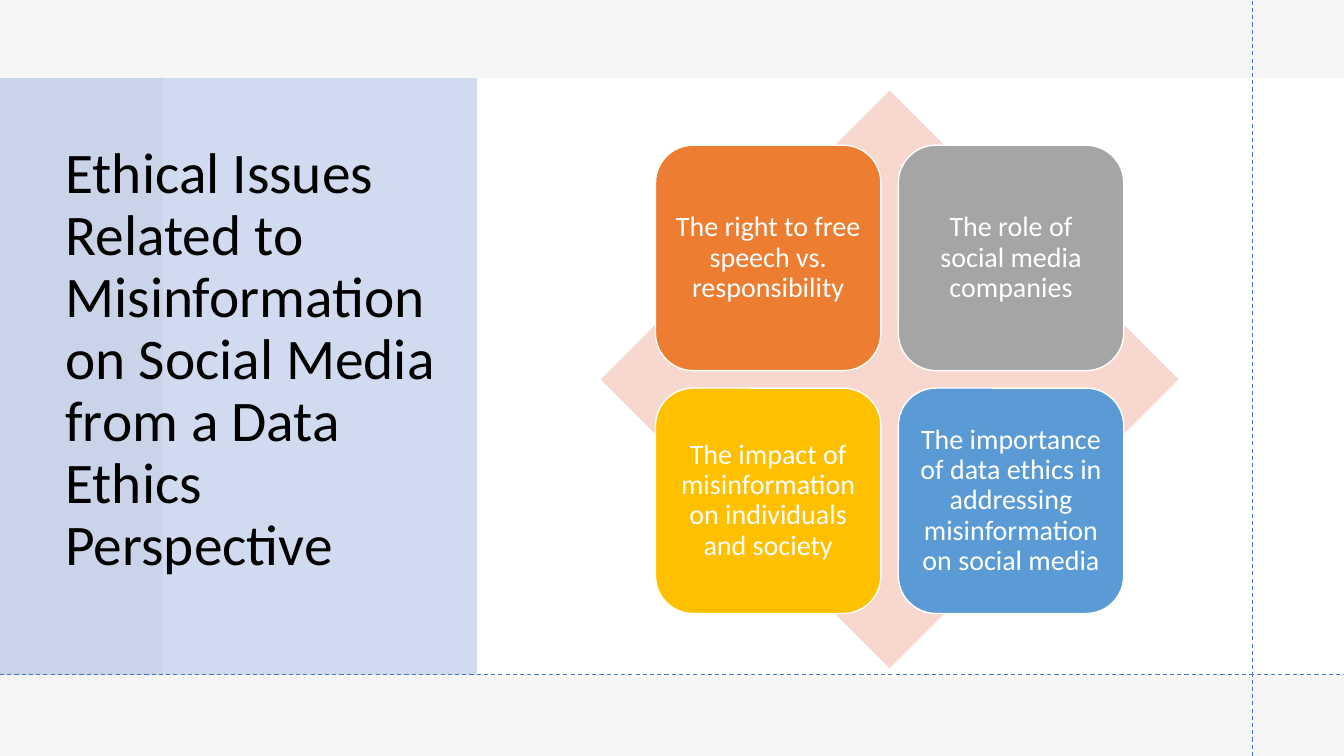
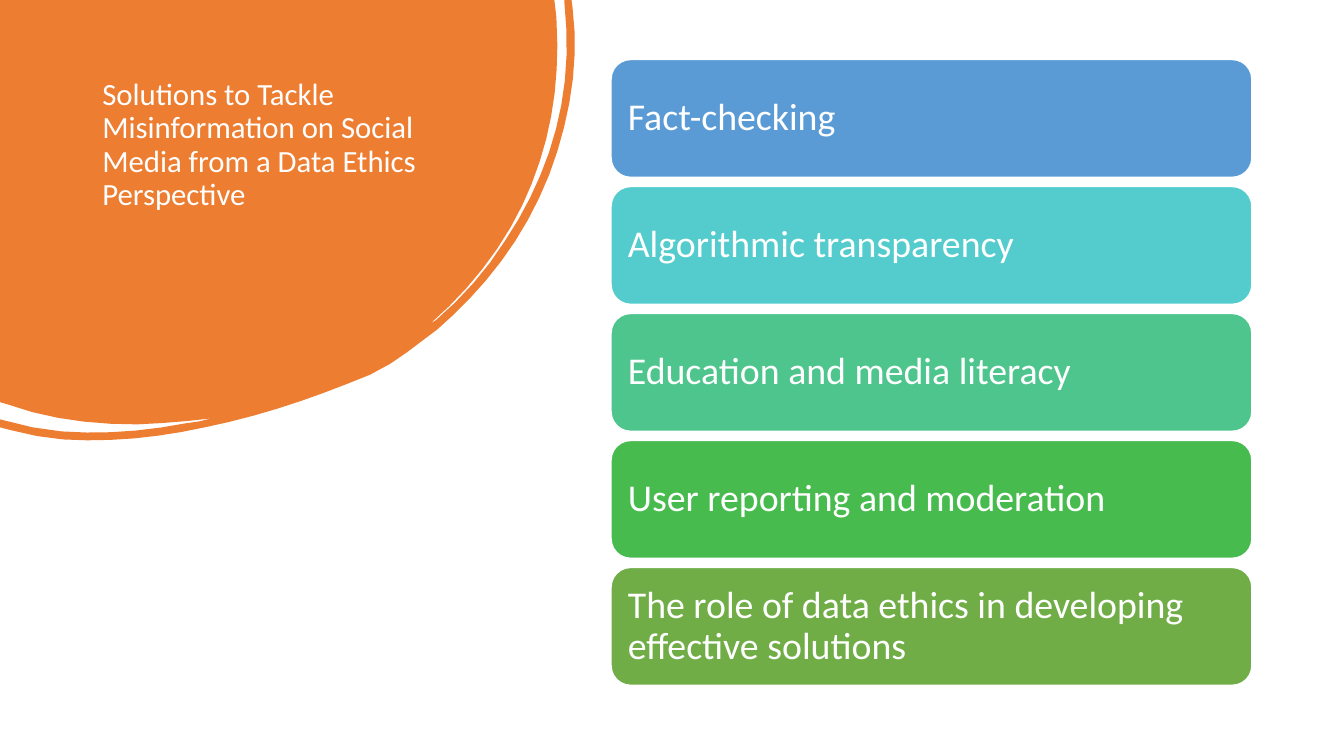
import math
from dataclasses import dataclass

import pptx
import pptx.dml.color
import pptx.enum.dml
import pptx.enum.shapes
import pptx.enum.text
import pptx.oxml.ns
import pptx.util
from lxml import etree

Cm = pptx.util.Cm
Pt = pptx.util.Pt
RGB = pptx.dml.color.RGBColor
SHAPE = pptx.enum.shapes.MSO_SHAPE
ALIGN = pptx.enum.text.PP_ALIGN
ANCHOR = pptx.enum.text.MSO_ANCHOR
qn = pptx.oxml.ns.qn

FONT = "Calibri"
WIDTH, HEIGHT = 33.87, 19.05
COLORS = {
    "white": "FFFFFF", "black": "000000", "grey": "E7E6E6", "accent": "4472C4",
    "orange": "ED7D31", "silver": "A5A5A5", "gold": "FFC000", "blue": "5B9BD5",
    "peach": "F8D7CE", "turquoise": "54CCCD", "mint": "4DC58D",
    "green": "48BB4F", "olive": "70AD47",
}


@dataclass
class Box:
    """Position and size in centimetres."""
    left: float
    top: float
    width: float
    height: float

    def lengths(self) -> list:
        return [Cm(v) for v in (self.left, self.top, self.width, self.height)]


@dataclass
class Card:
    text: str
    color: str


@dataclass
class CardStyle:
    size: float
    margin: float
    align: ALIGN


def rgb(name: str) -> RGB:
    return RGB.from_string(COLORS[name])


def write(shape, text: str, size: float, color: str, align=ALIGN.LEFT, anchor=ANCHOR.MIDDLE) -> None:
    tf = shape.text_frame
    tf.word_wrap = True
    tf.vertical_anchor = anchor
    tf.text = text
    p = tf.paragraphs[0]
    p.alignment = align
    p.line_spacing = 0.9
    for r in p.runs:
        r.font.name = FONT
        r.font.size = Pt(size)
        r.font.color.rgb = rgb(color)


def paint(sp, color: str, alpha: int = 100) -> None:
    sp.shadow.inherit = False
    sp.fill.solid()
    sp.fill.fore_color.rgb = rgb(color)
    sp.line.fill.background()
    if alpha < 100:
        clr = sp._element.spPr.find(".//" + qn("a:srgbClr"))
        etree.SubElement(clr, qn("a:alpha")).set("val", str(alpha * 1000))


def add_shape(s, kind, box: Box, color: str, alpha: int = 100):
    sp = s.shapes.add_shape(kind, *box.lengths())
    paint(sp, color, alpha)
    return sp


def add_title(s, text: str, box: Box, size: float, color: str, anchor) -> None:
    write(s.shapes.add_textbox(*box.lengths()), text, size, color, anchor=anchor)


def add_card(s, card: Card, box: Box, style: CardStyle) -> None:
    sp = add_shape(s, SHAPE.ROUNDED_RECTANGLE, box, card.color)
    sp.line.color.rgb = rgb("white")
    sp.line.width = Pt(1)
    tf = sp.text_frame
    tf.margin_left = tf.margin_right = tf.margin_top = tf.margin_bottom = Cm(style.margin)
    write(sp, card.text, style.size, "white", style.align)


def add_guide(s, x1: float, y1: float, x2: float, y2: float) -> None:
    line = s.shapes.add_connector(
        pptx.enum.shapes.MSO_CONNECTOR.STRAIGHT, Cm(x1), Cm(y1), Cm(x2), Cm(y2))
    line.line.color.rgb = rgb("accent")
    line.line.width = Pt(0.75)
    line.line.dash_style = pptx.enum.dml.MSO_LINE.DASH
    etree.SubElement(line._element.spPr, qn("a:effectLst"))


# Blob outline in hundredths of an inch: pairs are lines, sextets are Bézier curves
BLOB = [
    (550, 0), (552, 17), (553, 26, 553, 36, 553, 45),
    (553, 101, 542, 154, 518, 204), (496, 249, 465, 288, 427, 321),
    (429, 321, 430, 319, 432, 318), (459, 295, 482, 269, 501, 239),
    (543, 176, 565, 107, 562, 30), (562, 21, 561, 12, 560, 3),
    (560, 0), (567, 0), (568, 7), (574, 54, 568, 102, 553, 150),
    (533, 214, 497, 268, 448, 314), (439, 323, 429, 331, 419, 338),
    (409, 346, 399, 353, 387, 361), (375, 369, 360, 375, 344, 381),
    (299, 399, 252, 414, 203, 424), (157, 434, 110, 439, 63, 436),
    (45, 434, 28, 432, 12, 427), (0, 424), (0, 416), (4, 417),
    (23, 423, 42, 426, 61, 428), (103, 431, 143, 428, 184, 420),
    (189, 420, 193, 419, 198, 418), (202, 417, 206, 416, 210, 415),
    (186, 418, 161, 420, 136, 421), (92, 421, 48, 416, 7, 401), (0, 399),
]
CHORD = 25  # longest straight piece of a curve, roughly
FINE = 10  # drawing units per outline unit


def outline_points(segments: list) -> list:
    points = [(0, 0)]
    for seg in segments:
        if len(seg) == 2:
            points.append(seg)
            continue
        x0, y0 = points[-1]
        x1, y1, x2, y2, x3, y3 = seg
        steps = max(1, round(math.hypot(x3 - x0, y3 - y0) / CHORD))
        for i in range(1, steps + 1):
            t = i / steps
            u = 1 - t
            a, b, c, d = u ** 3, 3 * u * u * t, 3 * u * t * t, t ** 3
            points.append((a * x0 + b * x1 + c * x2 + d * x3,
                           a * y0 + b * y1 + c * y2 + d * y3))
    return [(x * FINE, y * FINE) for x, y in points]


def add_blob(s) -> None:
    points = outline_points(BLOB)
    builder = s.shapes.build_freeform(*points[0], scale=Cm(2.54) / (100 * FINE))
    builder.add_line_segments(points[1:], close=True)
    paint(builder.convert_to_shape(), "orange")


def issues_slide(prs) -> None:
    s = prs.slides.add_slide(prs.slide_layouts[6])
    # Backdrop
    full = Box(0, 0, WIDTH, HEIGHT)
    add_shape(s, SHAPE.RECTANGLE, full, "white")
    add_shape(s, SHAPE.RECTANGLE, full, "grey", 35)
    add_shape(s, SHAPE.RECTANGLE, Box(4.11, 1.97, 29.76, 15.08), "white")
    add_shape(s, SHAPE.RECTANGLE, Box(0, 1.97, 12.02, 15.04), "accent", 25)
    # Title and guide lines
    add_title(s, "Ethical Issues Related to Misinformation on Social Media from a Data Ethics Perspective",
              Box(1.4, 1.88, 10.03, 14.45), 41, "black", ANCHOR.MIDDLE)
    add_guide(s, 31.57, HEIGHT, 31.57, 0)
    add_guide(s, 0, 16.99, WIDTH, 16.99)
    # Diamond with a two by two grid of cards
    add_shape(s, SHAPE.DIAMOND, Box(15.14, 2.28, 14.56, 14.56), "peach")
    cards = [
        Card("The right to free speech vs. responsibility", "orange"),
        Card("The role of social media companies", "silver"),
        Card("The impact of misinformation on individuals and society", "gold"),
        Card("The importance of data ethics in addressing misinformation on social media", "blue"),
    ]
    style = CardStyle(20, 0.2, ALIGN.CENTER)
    side, pitch = 5.68, 6.12
    for i, card in enumerate(cards):
        row, col = divmod(i, 2)
        add_card(s, card, Box(16.52 + col * pitch, 3.66 + row * pitch, side, side), style)


def solutions_slide(prs) -> None:
    s = prs.slides.add_slide(prs.slide_layouts[6])
    # Blob and title
    add_blob(s)
    add_title(s, "Solutions to Tackle Misinformation on Social Media from a Data Ethics Perspective",
              Box(2.33, 1.87, 8.94, 5.64), 22, "white", ANCHOR.TOP)
    # Column of solutions
    cards = [
        Card("Fact-checking", "blue"),
        Card("Algorithmic transparency", "turquoise"),
        Card("Education and media literacy", "mint"),
        Card("User reporting and moderation", "green"),
        Card("The role of data ethics in developing effective solutions", "olive"),
    ]
    style = CardStyle(27, 0.28, ALIGN.LEFT)
    for i, card in enumerate(cards):
        add_card(s, card, Box(15.4, 1.5 + i * 3.2, 16.15, 2.97), style)


def main() -> None:
    prs = pptx.Presentation()
    prs.slide_width, prs.slide_height = Cm(WIDTH), Cm(HEIGHT)
    issues_slide(prs)
    solutions_slide(prs)
    prs.save("out.pptx")


if __name__ == "__main__":
    main()
